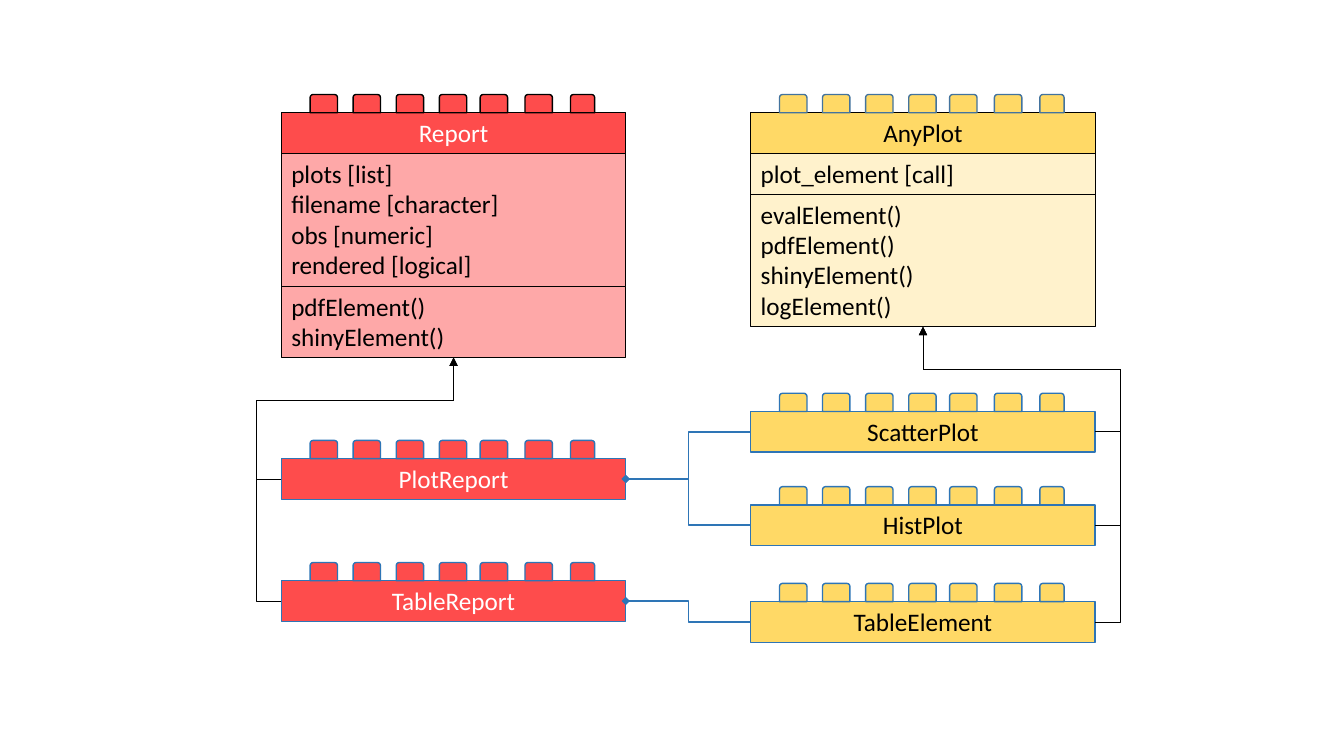
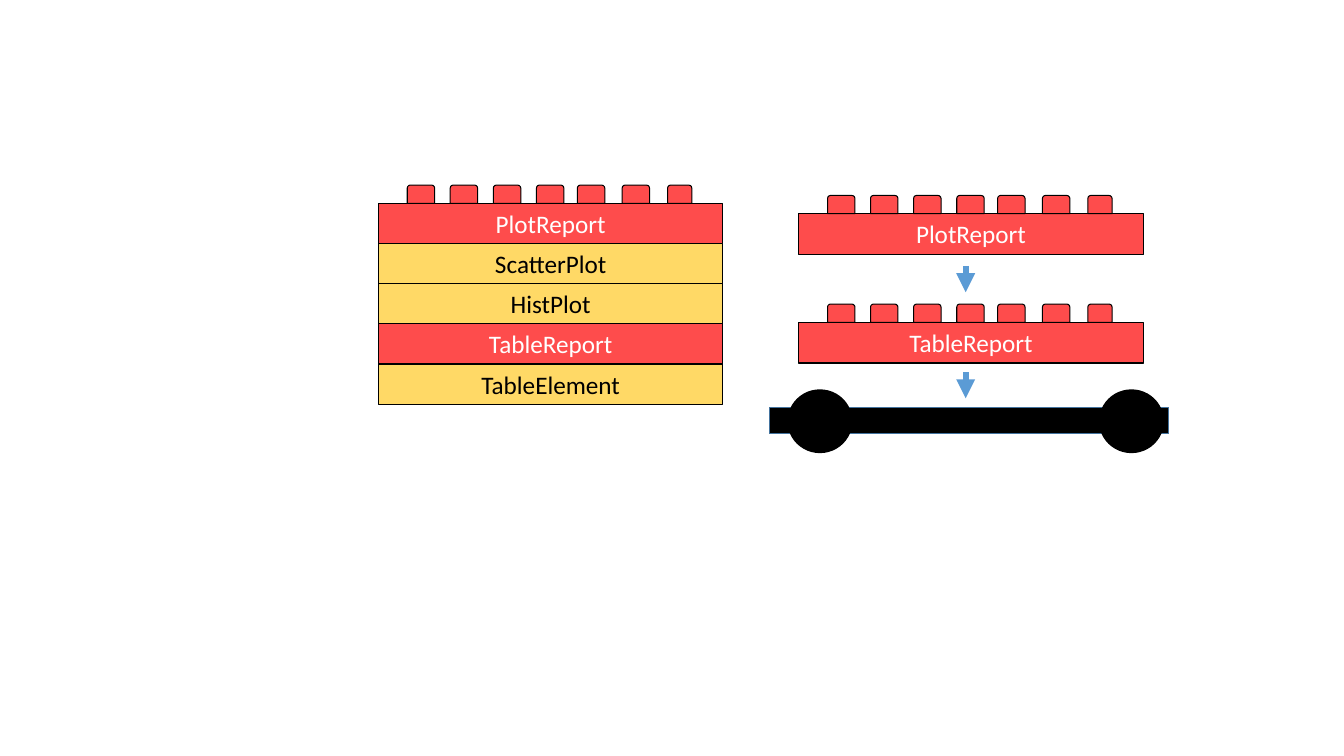
from dataclasses import dataclass

from lxml.etree import SubElement
from pptx import Presentation
from pptx.dml.color import RGBColor
from pptx.enum.shapes import MSO_CONNECTOR as Link, MSO_SHAPE as Preset
from pptx.enum.text import MSO_ANCHOR as Anchor, PP_ALIGN as Align
from pptx.oxml.ns import qn
from pptx.shapes.autoshape import Shape
from pptx.shapes.connector import Connector
from pptx.slide import Slide
from pptx.util import Pt

COLORS = {
    "red": "FE4C4C", "pale red": "FEA8A8",
    "yellow": "FFD966", "pale yellow": "FFF2CC",
    "black": "000000", "white": "FFFFFF",
    "blue": "2E75B6", "steel": "43739E", "sky": "5B9BD5",
}
FONT, TEXT_SIZE = "Calibri", 18
BRICK_WIDTH = 246
LINE_HEIGHT, TEXT_MARGIN = 21.9, 7.2
STUD_OFFSETS = (20.5, 51.2, 82, 112.8, 142, 174, 206.5)
STUD_WIDTH, LAST_STUD_WIDTH, STUD_HEIGHT = 19.6, 17.3, 13
TRUNK_OUT, TRUNK_DROP = 18, 30.5


@dataclass
class Brick:
    label: str
    left: float
    top: float
    color: str
    line: str = "black"
    weight: float = 0.75
    stud_line: str = "black"
    stud_weight: float = 0.75
    studs: bool = True


@dataclass
class ClassCard:
    header: Brick
    body_color: str
    sections: tuple[tuple[str, ...], ...]


def rgb(color: str) -> RGBColor:
    return RGBColor.from_string(COLORS[color])


def add_block(slide: Slide, preset: Preset, left: float, top: float, width: float,
              height: float, fill: str, line: str, weight: float) -> Shape:
    block = slide.shapes.add_shape(preset, Pt(left), Pt(top), Pt(width), Pt(height))
    block.shadow.inherit = False
    block.fill.solid()
    block.fill.fore_color.rgb = rgb(fill)
    block.line.color.rgb = rgb(line)
    block.line.width = Pt(weight)
    return block


def text_height(rows: int) -> float:
    return TEXT_MARGIN + LINE_HEIGHT * rows


def write(block: Shape, rows: tuple[str, ...], ink: str, align: Align) -> None:
    frame = block.text_frame
    frame.word_wrap = True
    frame.vertical_anchor = Anchor.TOP
    frame.text = "\n".join(rows)
    for paragraph in frame.paragraphs:
        paragraph.alignment = align
        for run in paragraph.runs:
            run.font.name = FONT
            run.font.size = Pt(TEXT_SIZE)
            run.font.color.rgb = rgb(ink)


def add_brick(slide: Slide, brick: Brick) -> Shape:
    body = add_block(slide, Preset.RECTANGLE, brick.left, brick.top, BRICK_WIDTH,
                     text_height(1), brick.color, brick.line, brick.weight)
    ink = "white" if brick.color == "red" else "black"
    write(body, (brick.label,), ink, Align.CENTER)
    if brick.studs:
        for offset in STUD_OFFSETS:
            width = LAST_STUD_WIDTH if offset == STUD_OFFSETS[-1] else STUD_WIDTH
            add_block(slide, Preset.ROUND_2_SAME_RECTANGLE, brick.left + offset,
                      brick.top - STUD_HEIGHT, width, STUD_HEIGHT,
                      brick.color, brick.stud_line, brick.stud_weight)
    return body


def add_card(slide: Slide, card: ClassCard) -> Shape:
    """Draw a class card and return its lowest section."""
    section = add_brick(slide, card.header)
    top = card.header.top + text_height(1)
    for rows in card.sections:
        height = text_height(len(rows))
        section = add_block(slide, Preset.RECTANGLE, card.header.left, top, BRICK_WIDTH,
                            height, card.body_color, "black", 0.75)
        write(section, rows, "black", Align.LEFT)
        top += height
    return section


def style_link(link: Connector, color: str, weight: float, tip: str) -> None:
    link.line.color.rgb = rgb(color)
    link.line.width = Pt(weight)
    SubElement(link.line._get_or_add_ln(), qn("a:tailEnd"), type=tip)
    SubElement(link._element.spPr, qn("a:effectLst"))


def join(slide: Slide, start: Shape, start_side: int, end: Shape, end_side: int) -> Connector:
    link = slide.shapes.add_connector(Link.ELBOW, 0, 0, 0, 0)
    link.begin_connect(start, start_side)
    link.end_connect(end, end_side)
    return link


def add_inheritance(slide: Slide, child: Shape, side: int, parent: Shape) -> None:
    """Lead from a child's side around to the bottom of its parent."""
    link = join(slide, child, side, parent, 2)
    style_link(link, "black", 0.5, "triangle")
    rise = link.begin_y - link.end_y
    bends = (-Pt(TRUNK_OUT) / link.width, (rise - Pt(TRUNK_DROP)) / rise)
    geometry = link._element.spPr.find(qn("a:prstGeom"))
    geometry.set("prst", "bentConnector4")
    guides = geometry.find(qn("a:avLst"))
    for number, bend in enumerate(bends, 1):
        SubElement(guides, qn("a:gd"), name=f"adj{number}", fmla=f"val {round(bend * 100000)}")


def add_composition(slide: Slide, element: Shape, report: Shape) -> None:
    style_link(join(slide, element, 1, report, 3), "blue", 1, "diamond")


def build_class_diagram(slide: Slide) -> None:
    report_left, plot_left, card_top = 201, 536.3, 80.5

    # Parent classes
    report = add_card(slide, ClassCard(
        Brick("Report", report_left, card_top, "red", stud_weight=1), "pale red",
        (("plots [list]", "filename [character]", "obs [numeric]", "rendered [logical]"),
         ("pdfElement()", "shinyElement()"))))
    any_plot = add_card(slide, ClassCard(
        Brick("AnyPlot", plot_left, card_top, "yellow", stud_line="steel", stud_weight=1),
        "pale yellow",
        (("plot_element [call]",),
         ("evalElement()", "pdfElement()", "shinyElement()", "logElement()"))))

    # Child classes
    def add_child(label: str, left: float, top: float, color: str) -> Shape:
        return add_brick(slide, Brick(label, left, top, color, "blue", 1, "blue", 1))

    plot_report = add_child("PlotReport", report_left, 327.6, "red")
    table_report = add_child("TableReport", report_left, 414.8, "red")
    scatter_plot = add_child("ScatterPlot", plot_left, 293.9, "yellow")
    hist_plot = add_child("HistPlot", plot_left, 360.6, "yellow")
    table_element = add_child("TableElement", plot_left, 429.7, "yellow")

    # Relations
    for child in (plot_report, table_report):
        add_inheritance(slide, child, 1, report)
    for child in (scatter_plot, hist_plot, table_element):
        add_inheritance(slide, child, 3, any_plot)
    for element, owner in ((scatter_plot, plot_report), (hist_plot, plot_report),
                           (table_element, table_report)):
        add_composition(slide, element, owner)


def build_assembly(slide: Slide) -> None:
    # Stack of bricks, studs on the top one only
    stack = (("PlotReport", "red"), ("ScatterPlot", "yellow"), ("HistPlot", "yellow"),
             ("TableReport", "red"), ("TableElement", "yellow"))
    for row, (label, color) in enumerate(stack):
        add_brick(slide, Brick(label, 270.4, 145.2 + 28.7 * row, color, studs=row == 0))

    # Car chassis with wheels
    add_block(slide, Preset.RECTANGLE, 549.5, 291, 285.2, 18.8, "black", "steel", 1)
    for wheel_left in (563, 785.5):
        add_block(slide, Preset.OVAL, wheel_left, 278.6, 45.4, 44.6, "black", "black", 1)

    # Reports lowered onto the chassis
    for label, top, arrow_top in (("PlotReport", 152.6, 190), ("TableReport", 230.2, 265.8)):
        add_brick(slide, Brick(label, 570.6, top, "red"))
        arrow = slide.shapes.add_connector(Link.STRAIGHT, Pt(689.8), Pt(arrow_top),
                                           Pt(689.8), Pt(arrow_top + 18.7))
        style_link(arrow, "sky", 4.5, "triangle")


def main() -> None:
    deck = Presentation()
    deck.slide_width, deck.slide_height = Pt(960), Pt(540)
    blank = deck.slide_layouts[6]
    for build in (build_class_diagram, build_assembly):
        build(deck.slides.add_slide(blank))
    deck.save("out.pptx")


if __name__ == "__main__":
    main()
